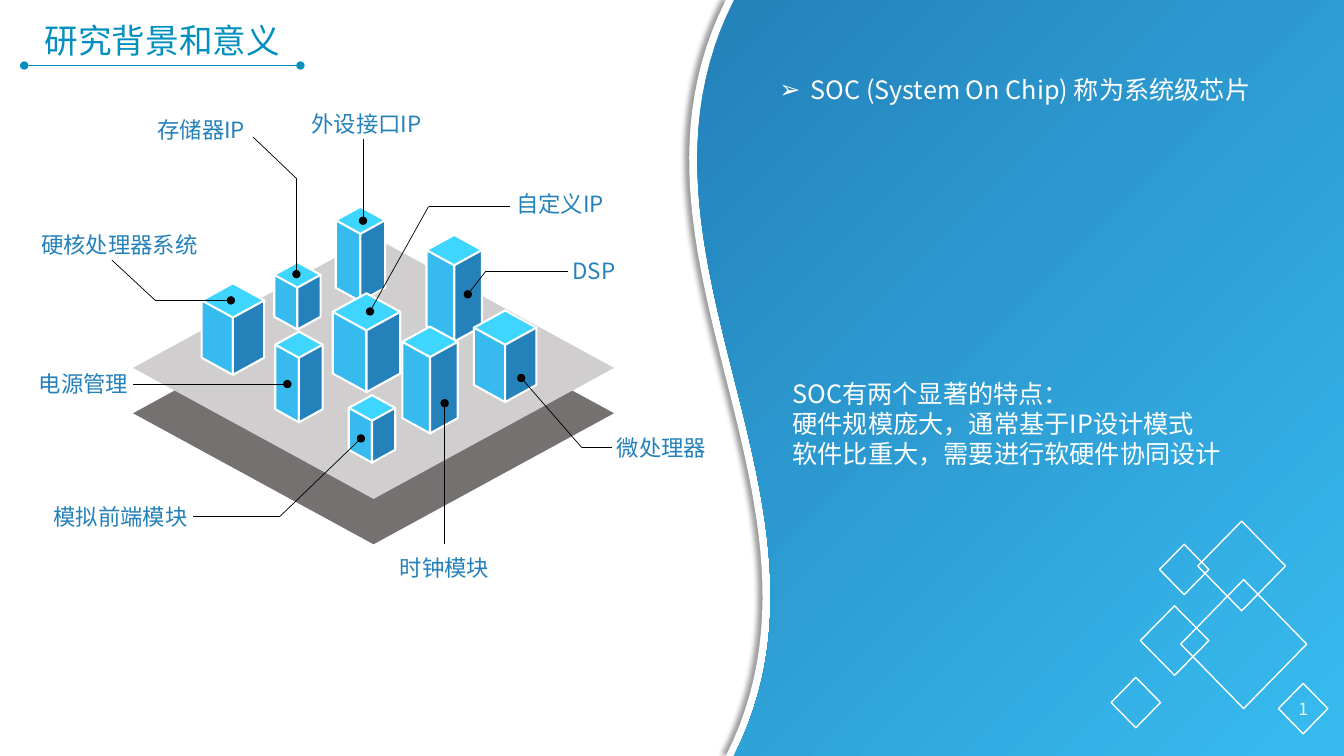
from itertools import pairwise
from lxml.etree import SubElement
from pptx import Presentation
from pptx.dml.color import RGBColor
from pptx.enum.shapes import MSO_CONNECTOR, MSO_SHAPE
from pptx.enum.text import MSO_ANCHOR, MSO_AUTO_SIZE, PP_ALIGN
from pptx.oxml.ns import qn
from pptx.util import Inches, Pt

# Content
FONT = "Noto Sans CJK SC"
TITLE = "研究背景和意义"
DEFINITION = ["SOC (System On Chip) 称为系统级芯片"]
FEATURES = ["SOC有两个显著的特点：", "硬件规模庞大，通常基于IP设计模式", "软件比重大，需要进行软硬件协同设计"]

W, H = 13.33, 7.5
LEFT, CENTER, RIGHT = PP_ALIGN.LEFT, PP_ALIGN.CENTER, PP_ALIGN.RIGHT

WHITE = RGBColor(0xFF, 0xFF, 0xFF)
BLACK = RGBColor(0, 0, 0)
TITLE_BLUE = RGBColor(0x00, 0x8F, 0xBE)
DARK_BLUE = RGBColor(0x24, 0x81, 0xBA)
MID_BLUE = RGBColor(0x37, 0xBB, 0xEF)
LIGHT_BLUE = RGBColor(0x3E, 0xD6, 0xFF)
BOARD_TOP = RGBColor(0xD0, 0xCE, 0xCE)
BOARD_BASE = RGBColor(0x76, 0x71, 0x71)

# Cubes, back to front: left, top, width, bottom
CUBES = [
    (2.0, 2.81, 0.62, 3.72), (3.33, 2.05, 0.49, 2.99), (2.72, 2.6, 0.46, 3.27),
    (3.3, 2.91, 0.67, 3.89), (4.23, 2.33, 0.55, 3.39), (3.46, 3.92, 0.46, 4.59),
    (4.7, 3.08, 0.62, 3.99), (3.99, 3.24, 0.55, 4.3), (2.73, 3.29, 0.47, 4.19),
]
LID_RATIO = 0.55

# Labels: text, left, top, width, alignment, leader from its dot outwards
LABEL_H = 0.39
LABELS = [
    ("硬核处理器系统", 0.31, 2.23, 1.79, LEFT, [(2.29, 2.98), (1.54, 2.98), (1.11, 2.58)]),
    ("存储器IP", 1.36, 1.09, 1.17, RIGHT, [(2.94, 2.72), (2.94, 1.77), (2.51, 1.36)]),
    ("外设接口IP", 2.97, 1.03, 1.31, RIGHT, [(3.6, 2.19), (3.6, 1.38)]),
    ("自定义IP", 5.02, 1.82, 1.17, LEFT, [(3.67, 3.09), (4.25, 2.05), (5.06, 2.05)]),
    ("DSP", 5.58, 2.49, 1.17, LEFT, [(4.64, 2.92), (4.82, 2.69), (5.63, 2.69)]),
    ("微处理器", 6.02, 4.24, 1.17, LEFT, [(5.17, 3.75), (5.77, 4.44), (6.07, 4.44)]),
    ("模拟前端模块", 0.38, 4.93, 1.58, RIGHT, [(3.58, 4.35), (2.78, 5.12), (1.91, 5.12)]),
    ("电源管理", 0.2, 3.61, 1.17, RIGHT, [(2.85, 3.81), (1.32, 3.81)]),
    ("时钟模块", 3.8, 5.44, 1.22, CENTER, [(4.41, 4.0), (4.41, 5.4)]),
]

# Outlined diamonds: left, top, width, height; the last holds the page number
DIAMONDS = [
    (11.71, 5.75, 1.25, 1.28), (11.88, 5.17, 0.87, 0.89), (11.31, 6.01, 0.68, 0.69),
    (11.5, 5.4, 0.49, 0.5), (11.02, 6.72, 0.49, 0.5), (12.68, 6.78, 0.49, 0.5),
]

prs = Presentation()
prs.slide_width, prs.slide_height = Inches(W), Inches(H)
s = prs.slides.add_slide(prs.slide_layouts[3])


def paint(sp, fill=None, line=None, width=1.5):
    sp.shadow.inherit = False
    if fill is None:
        sp.fill.background()
    else:
        sp.fill.solid()
        sp.fill.fore_color.rgb = fill
    if line is None:
        sp.line.fill.background()
    else:
        sp.line.color.rgb = line
        sp.line.width = Pt(width)
    return sp


def diamond(box, **style):
    return paint(s.shapes.add_shape(MSO_SHAPE.DIAMOND, *map(Inches, box)), **style)


def outline(points, **style):
    pts = [(Inches(x), Inches(y)) for x, y in points]
    fb = s.shapes.build_freeform(*pts[0], scale=1.0)
    fb.add_line_segments(pts[1:], close=True)
    return paint(fb.convert_to_shape(), **style)


def connect(start, end, color, width, *dots):
    c = s.shapes.add_connector(MSO_CONNECTOR.STRAIGHT, *map(Inches, start + end))
    c.line.color.rgb = color
    c.line.width = Pt(width)
    ln = c.line._get_or_add_ln()
    for dot in dots:
        SubElement(ln, qn(f"a:{dot}"), type="oval")
    SubElement(c._element.spPr, qn("a:effectLst"))


def write(sp, lines, size, color, align=LEFT, anchor=MSO_ANCHOR.MIDDLE):
    tf = sp.text_frame
    tf.word_wrap = True
    tf.auto_size = MSO_AUTO_SIZE.NONE
    tf.vertical_anchor = anchor
    tf.text = "\n".join(lines)
    for p in tf.paragraphs:
        p.alignment = align
        p.space_before = Pt(0)
        for r in p.runs:
            r.font.size = Pt(size)
            r.font.name = FONT
            r.font.color.rgb = color
            SubElement(r._r.get_or_add_rPr(), qn("a:ea"), typeface=FONT)
    return tf


def place(sp, *box):
    """Position a placeholder and bring it to the front."""
    sp.left, sp.top, sp.width, sp.height = map(Inches, box)
    sp._element.getparent().append(sp._element)


def wave(x, bulge=1.26, steps=48):
    """Area right of an S-shaped cubic curve from the bottom to the top edge."""
    xs = (x, x - bulge, x + bulge, x)
    edge = []
    for i in range(steps + 1):
        t = i / steps
        weights = ((1 - t) ** 3, 3 * t * (1 - t) ** 2, 3 * t * t * (1 - t), t ** 3)
        edge.append((sum(w * v for w, v in zip(weights, xs)), H * t))
    return edge + [(W, H), (W, 0)]


# Right panel: white rim with a shadow, then the gradient
rim = outline(wave(7.2), fill=WHITE)
effects = rim._element.spPr.find(qn("a:effectLst"))
shadow = SubElement(effects, qn("a:outerShdw"), blurRad=str(Pt(4)), dist=str(Pt(3)),
                    dir="10800000", algn="r", rotWithShape="0")
SubElement(SubElement(shadow, qn("a:srgbClr"), val="000000"), qn("a:alpha"), val="40000")

panel = outline(wave(7.28), fill=DARK_BLUE)
panel.fill.gradient()
panel.fill.gradient_angle = 315
for stop, color, pos in zip(panel.fill.gradient_stops, (DARK_BLUE, MID_BLUE), (0, 1)):
    stop.color.rgb = color
    stop.position = pos

# Decorative diamonds and page number
for box in DIAMONDS:
    page = diamond(box, line=WHITE, width=1)
tf = write(page, ["1"], 12, WHITE, CENTER)
tf.margin_left = tf.margin_right = tf.margin_top = tf.margin_bottom = 0

# Chip board
for top, color in ((2.8, BOARD_BASE), (2.35, BOARD_TOP)):
    diamond((1.32, top, 4.77, 2.6), fill=color)

# Cubes: two side faces and a lid
for x, y, w, bottom in CUBES:
    half = w * LID_RATIO / 2
    mid = x + w / 2
    for side, color in ((x, MID_BLUE), (x + w, DARK_BLUE)):
        outline([(side, y + half), (mid, y + half), (mid, bottom), (side, bottom - half)],
                fill=color, line=WHITE)
    diamond((x, y, w, 2 * half), fill=LIGHT_BLUE, line=WHITE)

# Labels with leaders
for text, x, y, w, align, leader in LABELS:
    for i, (start, end) in enumerate(pairwise(leader)):
        connect(start, end, BLACK, 0.5, *([] if i else ["headEnd"]))
    label = s.shapes.add_textbox(*map(Inches, (x, y, w, LABEL_H)))
    write(label, [text], 16, DARK_BLUE, align)

# Title with rule
title, definition, features = list(s.placeholders)
place(title, 0.24, 0.15, 2.74, 0.5)
write(title, [TITLE], 24, TITLE_BLUE, CENTER)
connect((0.24, 0.65), (2.98, 0.65), TITLE_BLUE, 1, "headEnd", "tailEnd")

# Panel text
place(definition, 7.63, 0.69, 5.05, 0.4)
place(features, 7.76, 3.7, 4.68, 1.01)
for sp, lines, indent, bullet in ((definition, DEFINITION, 0.31, "➢"),
                                  (features, FEATURES, 0, None)):
    tf = write(sp, lines, 18, WHITE, anchor=MSO_ANCHOR.TOP)
    tf.word_wrap = bullet is None
    for p in tf.paragraphs:
        pPr = p._p.get_or_add_pPr()
        pPr.set("marL", str(Inches(indent)))
        pPr.set("indent", str(-Inches(indent)))
        if bullet:
            SubElement(pPr, qn("a:buChar"), char=bullet)
        else:
            SubElement(pPr, qn("a:buNone"))

prs.save("out.pptx")
